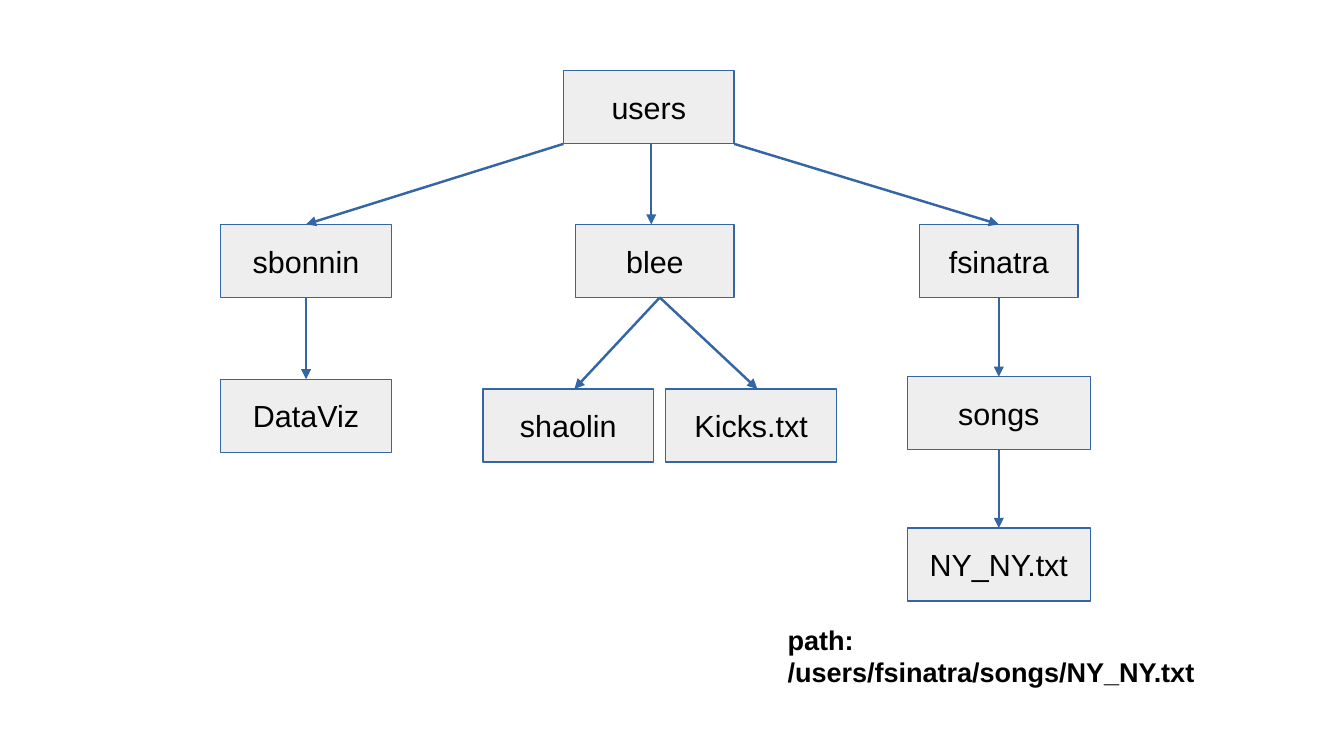
from dataclasses import dataclass

from lxml import etree
from pptx import Presentation
from pptx.dml.color import RGBColor
from pptx.enum.shapes import MSO_CONNECTOR, MSO_SHAPE
from pptx.enum.text import MSO_ANCHOR, MSO_AUTO_SIZE, PP_ALIGN
from pptx.oxml.ns import qn
from pptx.shapes.autoshape import Shape
from pptx.shapes.shapetree import SlideShapes
from pptx.text.text import TextFrame
from pptx.util import Inches, Pt

RECTANGLE = MSO_SHAPE.RECTANGLE
STRAIGHT = MSO_CONNECTOR.STRAIGHT
MIDDLE = MSO_ANCHOR.MIDDLE
CENTER = PP_ALIGN.CENTER
LEFT = PP_ALIGN.LEFT
GROW = MSO_AUTO_SIZE.SHAPE_TO_FIT_TEXT

CELL = 0.1
SLIDE_COLUMNS, SLIDE_ROWS = 110.2, 62
NODE_ROWS = 6
TOP, BOTTOM = 0, 2
NODE_FILL, EDGE, INK = "EEEEEE", "3465A4", "000000"


@dataclass(frozen=True)
class Node:
    label: str
    column: float
    row: float
    columns: float = 14


@dataclass(frozen=True)
class Point:
    column: float
    row: float


@dataclass(frozen=True)
class Joint:
    label: str
    site: int


@dataclass(frozen=True)
class Arrow:
    start: Point | Joint
    end: Point | Joint


USERS_ROW, HOMES_ROW = 5.8, 18.4
BLEE_FILES_ROW = 31.9

NODES = [
    Node("users", 46.2, USERS_ROW),
    Node("sbonnin", 18.1, HOMES_ROW),
    Node("blee", 47.2, HOMES_ROW, 13),
    Node("fsinatra", 75.4, HOMES_ROW, 13),
    Node("DataViz", 18.1, 31.1),
    Node("shaolin", 39.6, BLEE_FILES_ROW),
    Node("Kicks.txt", 54.6, BLEE_FILES_ROW),
    Node("songs", 74.4, 30.9, 15),
    Node("NY_NY.txt", 74.4, 43.3, 15),
]

USERS_FOOT = USERS_ROW + NODE_ROWS
BLEE_FORK = Point(54.1, HOMES_ROW + NODE_ROWS)

ARROWS = [
    Arrow(Point(46.2, USERS_FOOT), Joint("sbonnin", TOP)),
    Arrow(Point(53.4, USERS_FOOT), Point(53.4, HOMES_ROW)),
    Arrow(Point(60.2, USERS_FOOT), Joint("fsinatra", TOP)),
    Arrow(Joint("sbonnin", BOTTOM), Joint("DataViz", TOP)),
    Arrow(BLEE_FORK, Point(47.1, BLEE_FILES_ROW)),
    Arrow(BLEE_FORK, Point(62.1, BLEE_FILES_ROW)),
    Arrow(Joint("fsinatra", BOTTOM), Joint("songs", TOP)),
    Arrow(Joint("songs", BOTTOM), Joint("NY_NY.txt", TOP)),
]


def cells(count: float) -> int:
    return Inches(count * CELL)


def color(code: str) -> RGBColor:
    return RGBColor.from_string(code)


def write(frame: TextFrame, text: str, size: float, bold: bool, alignment: PP_ALIGN) -> None:
    frame.word_wrap = True
    paragraph = frame.paragraphs[0]
    paragraph.alignment = alignment
    run = paragraph.add_run()
    run.text = text
    run.font.name = "Arial"
    run.font.size = Pt(size)
    run.font.bold = bold
    run.font.color.rgb = color(INK)


def draw_node(shapes: SlideShapes, node: Node) -> Shape:
    box = shapes.add_shape(
        RECTANGLE, cells(node.column), cells(node.row), cells(node.columns), cells(NODE_ROWS)
    )
    box.shadow.inherit = False
    box.fill.solid()
    box.fill.fore_color.rgb = color(NODE_FILL)
    box.line.color.rgb = color(EDGE)
    box.line.width = Pt(0)
    box.text_frame.vertical_anchor = MIDDLE
    write(box.text_frame, node.label, 18, False, CENTER)
    return box


def position(tip: Point | Joint, boxes: dict[str, Shape]) -> tuple[int, int]:
    if isinstance(tip, Point):
        return cells(tip.column), cells(tip.row)
    box = boxes[tip.label]
    drop = box.height if tip.site == BOTTOM else 0
    return box.left + box.width // 2, box.top + drop


def draw_arrow(shapes: SlideShapes, arrow: Arrow, boxes: dict[str, Shape]) -> None:
    link = shapes.add_connector(
        STRAIGHT, *position(arrow.start, boxes), *position(arrow.end, boxes)
    )
    if isinstance(arrow.start, Joint):
        link.begin_connect(boxes[arrow.start.label], arrow.start.site)
    if isinstance(arrow.end, Joint):
        link.end_connect(boxes[arrow.end.label], arrow.end.site)
    link.line.color.rgb = color(EDGE)
    link.line.width = Pt(1.45)
    etree.SubElement(link.line._get_or_add_ln(), qn("a:tailEnd"), type="triangle")
    etree.SubElement(link._element.spPr, qn("a:effectLst"))


def main() -> None:
    deck = Presentation()
    deck.slide_width = cells(SLIDE_COLUMNS)
    deck.slide_height = cells(SLIDE_ROWS)
    shapes = deck.slides.add_slide(deck.slide_layouts[6]).shapes

    boxes = {node.label: draw_node(shapes, node) for node in NODES}
    for arrow in ARROWS:
        draw_arrow(shapes, arrow, boxes)

    full_path = shapes.add_textbox(cells(63.6), cells(50.6), cells(38), cells(5.9))
    write(full_path.text_frame, "path: /users/fsinatra/songs/NY_NY.txt", 16, True, LEFT)
    full_path.text_frame.auto_size = GROW

    deck.save("out.pptx")


if __name__ == "__main__":
    main()
